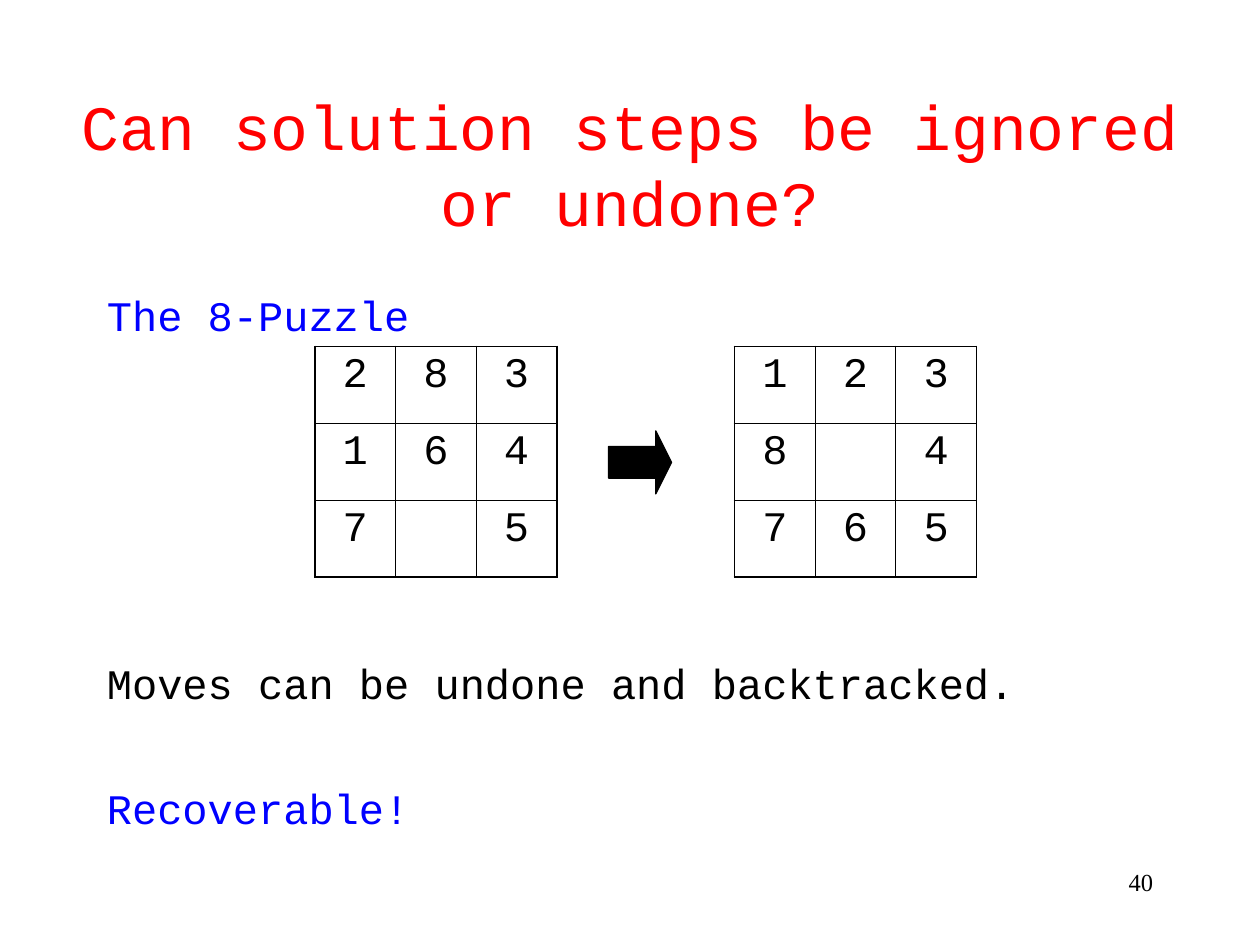
from lxml.etree import SubElement
from pptx import Presentation
from pptx.dml.color import RGBColor
from pptx.enum.shapes import MSO_SHAPE
from pptx.enum.text import MSO_ANCHOR, PP_ALIGN
from pptx.oxml.ns import qn
from pptx.util import Inches, Pt

CODE_FONT = "Courier New"
BLACK, BLUE, RED = "000000", "0000FF", "FF0000"
GRID_SIZE = 3
GRID_TOP = 2.75
OUTER_WIDTH, INNER_WIDTH = 1.08, 0.45
START_STATE = ("283", "164", "7 5")
GOAL_STATE = ("123", "8 4", "765")


def rgb(hex_color):
    return RGBColor.from_string(hex_color)


def write(paragraph, text, color=BLACK, size=24, font=CODE_FONT, **layout):
    paragraph.text = text
    paragraph.font.color.rgb = rgb(color)
    for name, value in {"name": font, "size": Pt(size), "bold": False}.items():
        setattr(paragraph.font, name, value)
    for name, value in layout.items():
        setattr(paragraph, name, value)


def add_title(slide, text):
    title = slide.shapes.title
    place = {"left": 0.25, "top": 0.67, "width": 9.5, "height": 1.25}
    for name, value in place.items():
        setattr(title, name, Inches(value))
    title.text_frame.vertical_anchor = MSO_ANCHOR.MIDDLE
    write(title.text_frame.paragraphs[0], text, RED, 36, alignment=PP_ALIGN.CENTER)


def add_text(slide, left, top, width, height):
    frame = slide.shapes.add_textbox(*map(Inches, (left, top, width, height))).text_frame
    frame.word_wrap = True
    return frame


def add_statements(slide, statements):
    frame = add_text(slide, 0.75, 2.25, 8.5, 4.42)
    for index, (text, color, gap) in enumerate(statements):
        paragraph = frame.add_paragraph() if index else frame.paragraphs[0]
        write(paragraph, text, color, space_before=Pt(gap))


def add_border(cell, side, width):
    line = SubElement(cell._tc.get_or_add_tcPr(), qn(f"a:ln{side}"), w=str(Pt(width)))
    fill = SubElement(line, qn("a:solidFill"))
    SubElement(fill, qn("a:srgbClr"), val=BLACK)


def add_puzzle(slide, left, state):
    table = slide.shapes.add_table(
        GRID_SIZE, GRID_SIZE, Inches(left), Inches(GRID_TOP), Inches(1.92), Inches(1.83)
    ).table
    for name in ("first_row", "horz_banding"):
        setattr(table, name, False)
    last = GRID_SIZE - 1
    for row, tiles in enumerate(state):
        for column, tile in enumerate(tiles):
            cell = table.cell(row, column)
            edges = {"L": column == 0, "R": column == last, "T": row == 0, "B": row == last}
            for side, is_outer in edges.items():
                add_border(cell, side, OUTER_WIDTH if is_outer else INNER_WIDTH)
            cell.fill.background()
            write(cell.text_frame.paragraphs[0], tile.strip(), alignment=PP_ALIGN.CENTER)


def add_arrow(slide):
    arrow = slide.shapes.add_shape(
        MSO_SHAPE.RIGHT_ARROW, Inches(4.83), Inches(3.42), Inches(0.5), Inches(0.5)
    )
    arrow.adjustments[1] = 0.25
    arrow.shadow.inherit = False
    arrow.fill.solid()
    arrow.fill.fore_color.rgb = rgb(BLACK)
    arrow.line.color.rgb = rgb(BLACK)
    arrow.line.width = Pt(0.75)


def add_page_number(slide, number):
    frame = add_text(slide, 7.17, 6.83, 2.08, 0.5)
    write(frame.paragraphs[0], number, size=14, font="Times New Roman", alignment=PP_ALIGN.RIGHT)


def main():
    presentation = Presentation()
    presentation.slide_width = Inches(10)
    presentation.slide_height = Inches(7.5)
    slide = presentation.slides.add_slide(presentation.slide_layouts.get_by_name("Title Only"))
    add_page_number(slide, "40")
    add_title(slide, "Can solution steps be ignored or undone?")
    add_statements(slide, (
        ("The 8-Puzzle", BLUE, 0),
        ("Moves can be undone and backtracked.", BLACK, 181.4),
        ("Recoverable!", BLUE, 42.5),
    ))
    for left, state in ((2.5, START_STATE), (5.83, GOAL_STATE)):
        add_puzzle(slide, left, state)
    add_arrow(slide)
    presentation.save("out.pptx")


if __name__ == "__main__":
    main()
